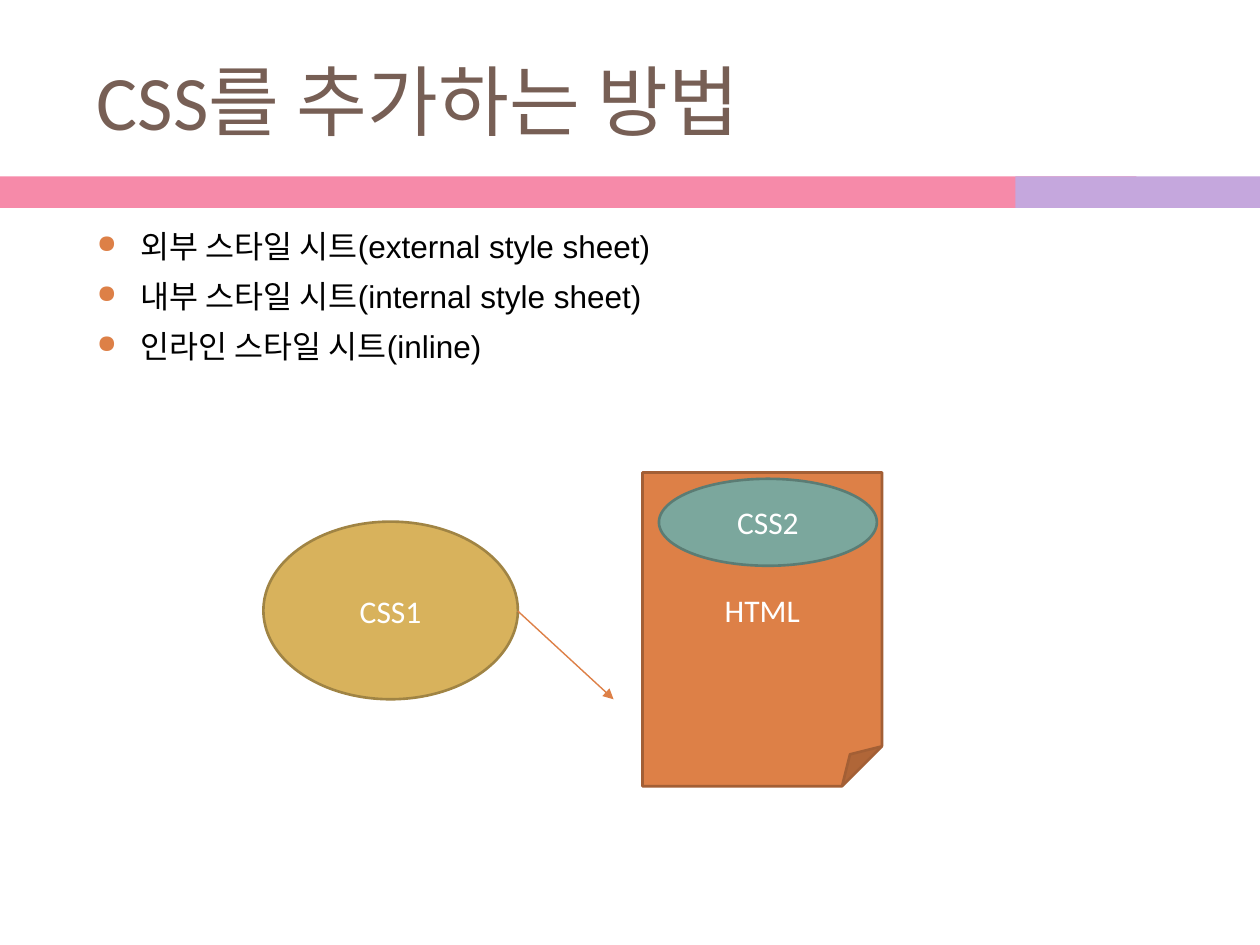
from lxml import etree
from pptx import Presentation
from pptx.dml.color import RGBColor
from pptx.enum.shapes import MSO_CONNECTOR, MSO_SHAPE
from pptx.enum.text import MSO_ANCHOR, PP_ALIGN
from pptx.oxml.ns import qn
from pptx.util import Inches, Pt

RECT = MSO_SHAPE.RECTANGLE
ELLIPSE = MSO_SHAPE.OVAL
PAGE = MSO_SHAPE.FOLDED_CORNER
STRAIGHT = MSO_CONNECTOR.STRAIGHT
MIDDLE = MSO_ANCHOR.MIDDLE
TOP = MSO_ANCHOR.TOP
CENTER = PP_ALIGN.CENTER

COLORS = {
    "pink": "F68AA9",
    "lilac": "C5A7DD",
    "brown": "775F55",
    "black": "000000",
    "white": "FFFFFF",
    "orange": "DD8047",
    "orange_edge": "A35F35",
    "gold": "D8B25C",
    "gold_edge": "A08444",
    "teal": "7BA79D",
    "teal_edge": "5B7C74",
}


class SlideBuilder:
    heading_font = "Calibri"
    body_font = "Arial"
    body_size = 18

    def __init__(self, slide):
        self.slide = slide

    def color(self, name):
        return RGBColor.from_string(COLORS[name])

    def font(self, p, name, size, color):
        p.font.name = name
        p.font.size = Pt(size)
        p.font.color.rgb = self.color(color)

    def shape(self, kind, box, fill, edge=None, label=None):
        sp = self.slide.shapes.add_shape(kind, *map(Inches, box))
        sp.shadow.inherit = False
        sp.fill.solid()
        sp.fill.fore_color.rgb = self.color(fill)
        if edge:
            sp.line.color.rgb = self.color(edge)
            sp.line.width = Pt(1.5)
        else:
            sp.line.fill.background()
        if label:
            tf = sp.text_frame
            tf.vertical_anchor = MIDDLE
            p = tf.paragraphs[0]
            p.text = label
            p.alignment = CENTER
            self.font(p, self.heading_font, self.body_size, "white")

    def text_frame(self, box, anchor):
        tf = self.slide.shapes.add_textbox(*map(Inches, box)).text_frame
        tf.word_wrap = True
        tf.vertical_anchor = anchor
        return tf

    def title(self, box, text):
        p = self.text_frame(box, MIDDLE).paragraphs[0]
        p.text = text
        self.font(p, self.heading_font, 44, "brown")

    def bullets(self, box, items):
        tf = self.text_frame(box, TOP)
        for i, item in enumerate(items):
            p = tf.add_paragraph() if i else tf.paragraphs[0]
            p.text = item
            p.space_before = Pt(7)
            self.font(p, self.body_font, self.body_size, "black")
            self.bullet(p)

    def bullet(self, p):
        pPr = p._p.get_or_add_pPr()
        indent = Inches(0.35)
        pPr.set("marL", str(indent))
        pPr.set("indent", str(-indent))
        marks = []
        clr = etree.Element(qn("a:buClr"))
        etree.SubElement(clr, qn("a:srgbClr"), val=COLORS["orange"])
        marks.append(clr)
        marks.append(etree.Element(qn("a:buSzPct"), val="80000"))
        marks.append(etree.Element(qn("a:buChar"), char="●"))
        defaults = pPr.find(qn("a:defRPr"))
        for mark in marks:
            defaults.addprevious(mark)

    def arrow(self, start, end, color):
        cx = self.slide.shapes.add_connector(STRAIGHT, *map(Inches, start + end))
        cx.line.color.rgb = self.color(color)
        cx.line.width = Pt(0.79)
        etree.SubElement(cx.line._get_or_add_ln(), qn("a:tailEnd"), type="triangle")
        etree.SubElement(cx._element.spPr, qn("a:effectLst"))


def main():
    prs = Presentation()
    prs.slide_width = Inches(10)
    prs.slide_height = Inches(7.5)
    s = SlideBuilder(prs.slides.add_slide(prs.slide_layouts[6]))

    s.shape(RECT, (0, 1.4, 9.02, 0.25), "pink")
    s.shape(RECT, (8.06, 1.4, 1.94, 0.25), "lilac")
    s.title((0.67, 0.25, 8.92, 1.08), "CSS를 추가하는 방법")
    s.bullets((0.67, 1.75, 8.92, 4.92), [
        "외부 스타일 시트(external style sheet)",
        "내부 스타일 시트(internal style sheet)",
        "인라인 스타일 시트(inline)",
    ])
    s.shape(PAGE, (5.1, 3.75, 1.9, 2.49), "orange", "orange_edge", "HTML")
    s.shape(ELLIPSE, (2.09, 4.14, 2.02, 1.41), "gold", "gold_edge", "CSS1")
    s.shape(ELLIPSE, (5.23, 3.8, 1.73, 0.69), "teal", "teal_edge", "CSS2")
    s.arrow((4.11, 4.85), (4.87, 5.55), "orange")

    prs.save("out.pptx")


if __name__ == "__main__":
    main()
